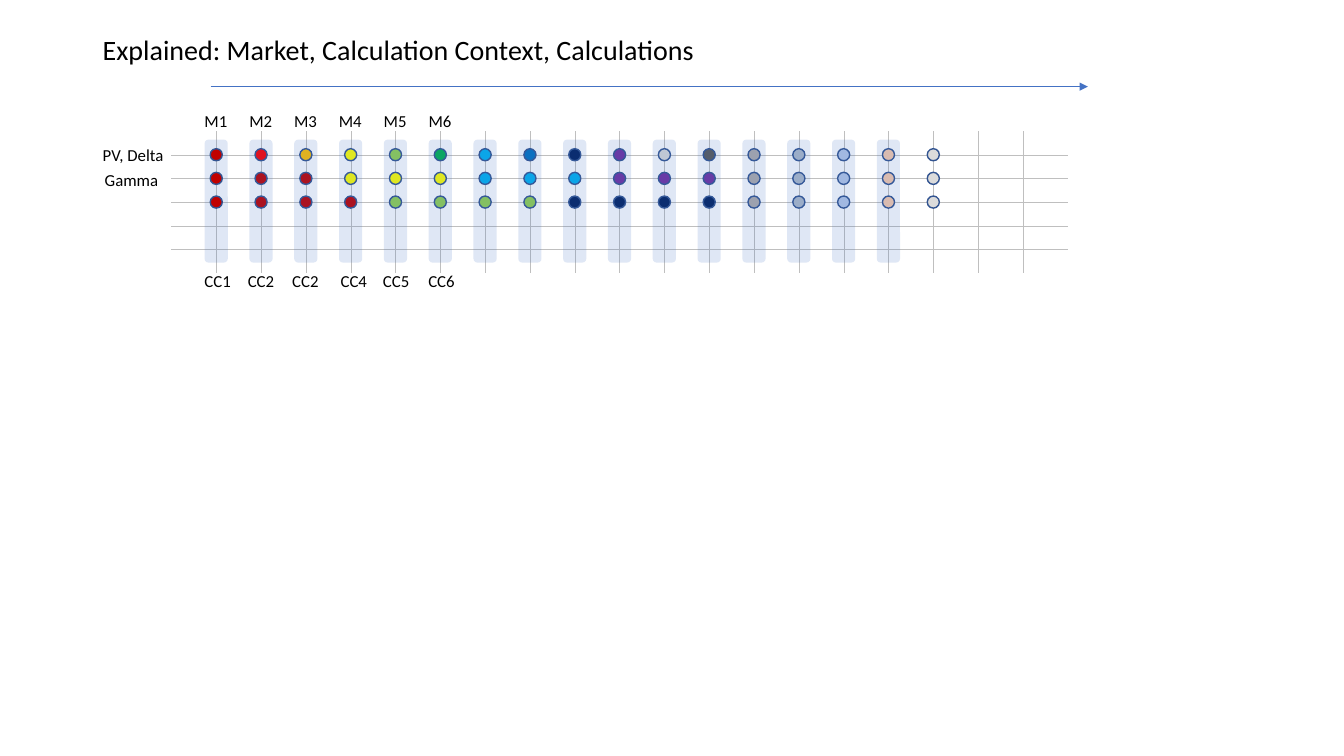
from dataclasses import dataclass

from lxml import etree
from pptx import Presentation
from pptx.dml.color import RGBColor
from pptx.enum.shapes import MSO_CONNECTOR, MSO_SHAPE
from pptx.enum.text import MSO_ANCHOR, MSO_AUTO_SIZE
from pptx.oxml.ns import qn
from pptx.util import Inches, Pt

ELLIPSE, BAND = MSO_SHAPE.OVAL, MSO_SHAPE.ROUNDED_RECTANGLE
STRAIGHT = MSO_CONNECTOR.STRAIGHT
MIDDLE, TOP = MSO_ANCHOR.MIDDLE, MSO_ANCHOR.TOP
FIT_SHAPE = MSO_AUTO_SIZE.SHAPE_TO_FIT_TEXT


@dataclass(frozen=True)
class Theme:
    font: str = "Calibri"
    title_size: int = 20
    label_size: int = 12
    cell_size: int = 6
    text: str = "000000"
    grid: str = "BFBFBF"
    accent: str = "4472C4"
    dot_line: str = "325491"
    band_alpha: int = 17


THEME = Theme()

# Grid geometry in inches
GRID_LEFT, GRID_TOP = 1.7, 1.3
GRID_WIDTH, GRID_HEIGHT = 8.89, 1.41
COLS, ROWS = 20, 6
COL_W, ROW_H = GRID_WIDTH / COLS, GRID_HEIGHT / ROWS
DOT = 0.12
BAND_W, BAND_H, BAND_TOP = 0.23, 1.22, 1.385
BAND_COUNT = 16

# Market colours; each row keeps a colour for as many markets as its step
MARKET_COLORS = ["C00000", "FF0000", "FFC000", "FFFF00", "92D050", "00B050",
                 "00B0F0", "0070C0", "002060", "7030A0", "D9D9D9", "595959"]
LATER_COLORS = ["AFABAB", "ADB9CA", "B4C7E7", "F8CBAD", "DBDBDB"]
ROW_STEPS = [1, 3, 4]

CONTEXTS = [("CC1", 1.93), ("CC2", 2.36), ("CC2", 2.8),
            ("CC4", 3.28), ("CC5", 3.7), ("CC6", 4.15)]


def rgb(color):
    return RGBColor.from_string(color)


def column_x(i):
    """Centre of the vertical grid line for market i."""
    return GRID_LEFT + (i + 1) * COL_W


def add_text(slide, text, box, size, anchor=TOP, wrap=False):
    sp = slide.shapes.add_textbox(*(Inches(v) for v in box))
    tf = sp.text_frame
    tf.word_wrap = wrap
    tf.vertical_anchor = anchor
    if not wrap:
        tf.auto_size = FIT_SHAPE
    p = tf.paragraphs[0]
    p.text = text
    p.font.name = THEME.font
    p.font.size = Pt(size)
    p.font.color.rgb = rgb(THEME.text)
    return p


def add_label(slide, text, left, top, width):
    add_text(slide, text, (left, top, width, 0.3), THEME.label_size)


def add_filled(slide, kind, box, color):
    sp = slide.shapes.add_shape(kind, *(Inches(v) for v in box))
    sp.shadow.inherit = False
    sp.fill.solid()
    sp.fill.fore_color.rgb = rgb(color)
    return sp


def add_dot(slide, i, row, color):
    left = column_x(i) - DOT / 2
    top = GRID_TOP + (row + 1) * ROW_H - DOT / 2
    sp = add_filled(slide, ELLIPSE, (left, top, DOT, DOT), color)
    sp.line.color.rgb = rgb(THEME.dot_line)
    sp.line.width = Pt(1)


def add_band(slide, i):
    box = (column_x(i) - BAND_W / 2, BAND_TOP, BAND_W, BAND_H)
    sp = add_filled(slide, BAND, box, THEME.accent)
    sp.line.fill.background()
    color = sp.fill._xPr.find(qn("a:solidFill"))[0]
    etree.SubElement(color, qn("a:alpha"), val=str(THEME.band_alpha * 1000))


def set_borders(cell, inner_sides):
    """Draw the inner sides of a cell and leave the outer ones open."""
    tc_pr = cell._tc.get_or_add_tcPr()
    for n, side in enumerate("LRTB"):
        ln = etree.Element(qn(f"a:ln{side}"), w=str(Pt(0.25)))
        if side in inner_sides:
            fill = etree.SubElement(ln, qn("a:solidFill"))
            etree.SubElement(fill, qn("a:srgbClr"), val=THEME.grid)
        else:
            etree.SubElement(ln, qn("a:noFill"))
        tc_pr.insert(n, ln)


def add_grid(slide):
    box = (GRID_LEFT, GRID_TOP, GRID_WIDTH, GRID_HEIGHT)
    table = slide.shapes.add_table(ROWS, COLS, *(Inches(v) for v in box)).table
    table.first_row = table.horz_banding = False
    for column in table.columns:
        column.width = Inches(COL_W)
    for r, row in enumerate(table.rows):
        row.height = Inches(ROW_H)
        for c, cell in enumerate(row.cells):
            cell.fill.background()
            cell.margin_top = cell.margin_bottom = 0
            # Small empty text keeps the row from growing
            p = cell.text_frame.paragraphs[0]
            etree.SubElement(p._p, qn("a:endParaRPr"),
                             sz=str(THEME.cell_size * 100))
            open_sides = {"L": c == 0, "R": c == COLS - 1,
                          "T": r == 0, "B": r == ROWS - 1}
            set_borders(cell, [s for s in "LRTB" if not open_sides[s]])


def add_arrow(slide, x1, x2, y):
    line = slide.shapes.add_connector(STRAIGHT, Inches(x1), Inches(y),
                                      Inches(x2), Inches(y))
    line.line.color.rgb = rgb(THEME.accent)
    line.line.width = Pt(0.5)
    etree.SubElement(line.line._get_or_add_ln(), qn("a:tailEnd"),
                     type="triangle")
    etree.SubElement(line._element.spPr, qn("a:effectLst"))


def main():
    prs = Presentation()
    prs.slide_width, prs.slide_height = Inches(13.33), Inches(7.5)
    slide = prs.slides.add_slide(prs.slide_layouts[6])

    # Grid, with the first band behind the dots
    add_grid(slide)
    add_band(slide, 0)

    # Title
    title = add_text(slide, "Explained: Market, Calculation Context, Calculations",
                     (0.92, 0.4, 11.5, 0.23), THEME.title_size, MIDDLE, True)
    title.line_spacing = 0.9

    # Calculations
    for row, step in enumerate(ROW_STEPS):
        held = [MARKET_COLORS[i - i % step] for i in range(len(MARKET_COLORS))]
        for i, color in enumerate(held + LATER_COLORS):
            add_dot(slide, i, row, color)

    # Remaining calculation contexts, over the dots
    for i in range(1, BAND_COUNT):
        add_band(slide, i)

    # Labels
    add_label(slide, "PV, Delta", 0.92, 1.39, 0.81)
    add_label(slide, "Gamma", 0.94, 1.63, 0.74)
    for i, (context, left) in enumerate(CONTEXTS):
        add_label(slide, f"M{i + 1}", 1.93 + i * COL_W, 1.05, 0.43)
        add_label(slide, context, left, 2.64, 0.47)

    # Time arrow
    add_arrow(slide, 2.09, 10.79, 0.86)

    prs.save("out.pptx")


if __name__ == "__main__":
    main()
